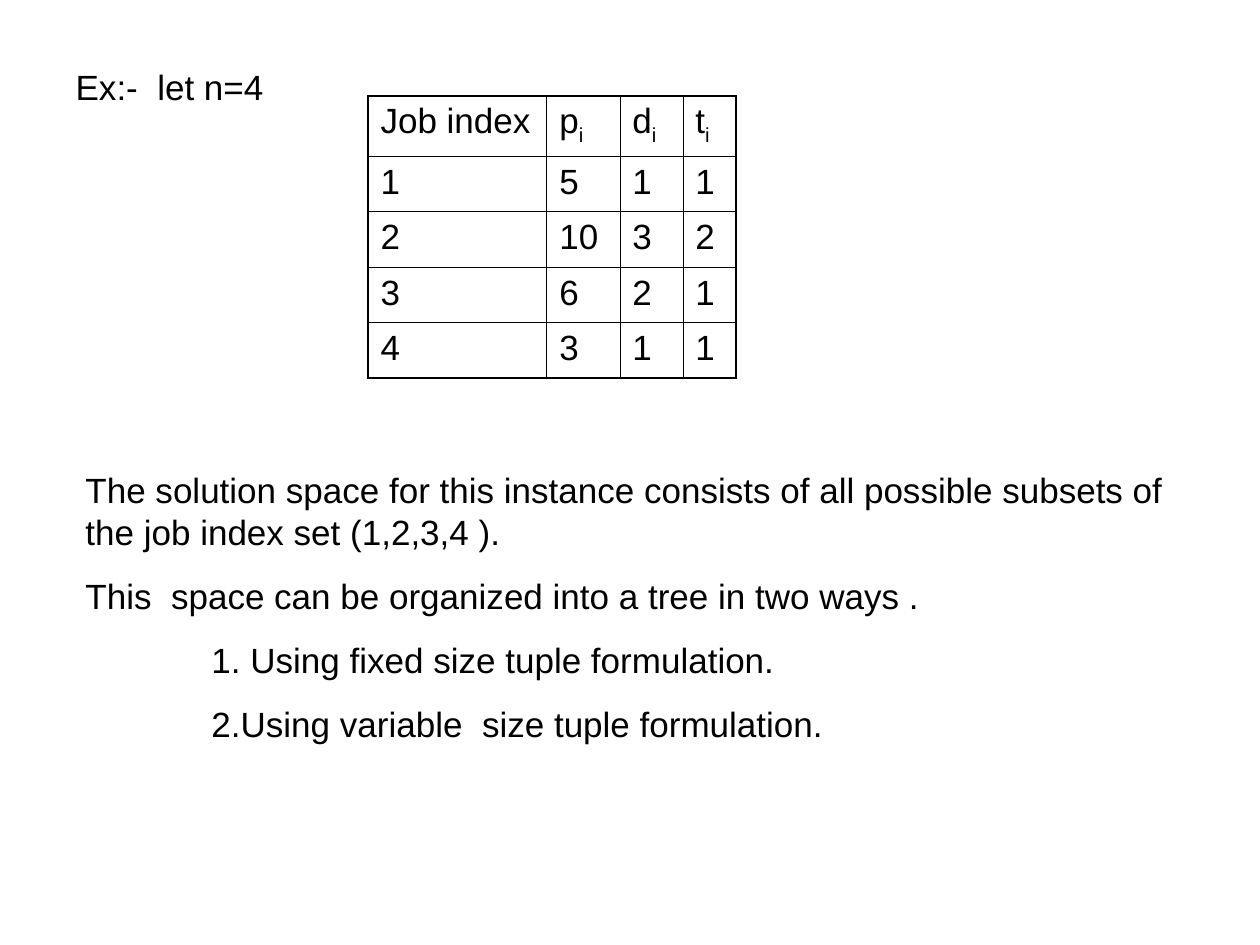
"""Build the job sequencing example slide with its table and solution space text."""
from lxml import etree
from pptx import Presentation
from pptx.dml.color import RGBColor
from pptx.enum.text import MSO_ANCHOR, MSO_AUTO_SIZE, PP_ALIGN
from pptx.oxml.ns import qn
from pptx.util import Inches, Pt

TOP = MSO_ANCHOR.TOP
LEFT = PP_ALIGN.LEFT
FIXED = MSO_AUTO_SIZE.NONE
GROW = MSO_AUTO_SIZE.SHAPE_TO_FIT_TEXT
COLORS = {"ink": "000000"}
THIN, THICK = 0.45, 1.08


def write(para, text, gap, sub=""):
    para.space_before = Pt(gap)
    para.alignment = LEFT
    for part in filter(None, (text, sub)):
        run = para.add_run()
        run.text = part
        run.font.name = "Arial"
        run.font.size = Pt(20)
        run.font.color.rgb = RGBColor.from_string(COLORS["ink"])
    if sub:
        run.font._element.set("baseline", "-25000")


def border(cell, side, width):
    line = etree.SubElement(cell._tc.get_or_add_tcPr(), qn("a:ln" + side), w=str(Pt(width)))
    fill = etree.SubElement(line, qn("a:solidFill"))
    etree.SubElement(fill, qn("a:srgbClr"), val=COLORS["ink"])


deck = Presentation()
deck.slide_width, deck.slide_height = Inches(10), Inches(7.5)
slide = deck.slides.add_slide(deck.slide_layouts[1])
title = slide.shapes.title._element
title.getparent().remove(title)

intro = slide.placeholders[1]
intro.left, intro.top = Inches(0.5), Inches(0.47)
intro.width, intro.height = Inches(4.42), Inches(4.95)
intro.text_frame.auto_size = FIXED
para = intro.text_frame.paragraphs[0]
write(para, "Ex:-  let n=4", 5)
props = para._p.get_or_add_pPr()
props.set("marL", str(Inches(0.38)))
props.set("indent", str(-Inches(0.38)))
etree.SubElement(props, qn("a:buNone"))

rows = [
    [("Job index", ""), ("p", "i"), ("d", "i"), ("t", "i")],
    [("1", ""), ("5", ""), ("1", ""), ("1", "")],
    [("2", ""), ("10", ""), ("3", ""), ("2", "")],
    [("3", ""), ("6", ""), ("2", ""), ("1", "")],
    [("4", ""), ("3", ""), ("1", ""), ("1", "")],
]
widths = [1.42, 0.58, 0.5, 0.42]
heights = [0.48] + [0.44] * 4
jobs = slide.shapes.add_table(
    len(rows), len(widths), Inches(2.92), Inches(0.76),
    Inches(sum(widths)), Inches(sum(heights))).table
jobs.first_row = jobs.horz_banding = False
for col, width in zip(jobs.columns, widths):
    col.width = Inches(width)
for r, row in enumerate(rows):
    jobs.rows[r].height = Inches(heights[r])
    for c, (text, sub) in enumerate(row):
        cell = jobs.cell(r, c)
        cell.vertical_anchor = TOP
        write(cell.text_frame.paragraphs[0], text, 5, sub)
        edges = {"L": c == 0, "R": c == len(widths) - 1,
                 "T": r == 0, "B": r == len(rows) - 1}
        for side, outer in edges.items():
            border(cell, side, THICK if outer else THIN)
        cell.fill.background()

notes = [
    ("The solution space for this instance consists of all possible subsets of "
     "the job index set (1,2,3,4 ).", 0),
    ("This  space can be organized into a tree in two ways .", 0),
    ("1. Using fixed size tuple formulation.", 1),
    ("2.Using variable  size tuple formulation.", 1),
]
frame = slide.shapes.add_textbox(Inches(0.58), Inches(3.67), Inches(9), Inches(2.29)).text_frame
frame.word_wrap = True
frame.auto_size = GROW
for n, (text, indent) in enumerate(notes):
    para = frame.add_paragraph() if n else frame.paragraphs[0]
    write(para, text, 12.5)
    para._p.get_or_add_pPr().set("marL", str(Inches(indent)))

deck.save("out.pptx")
